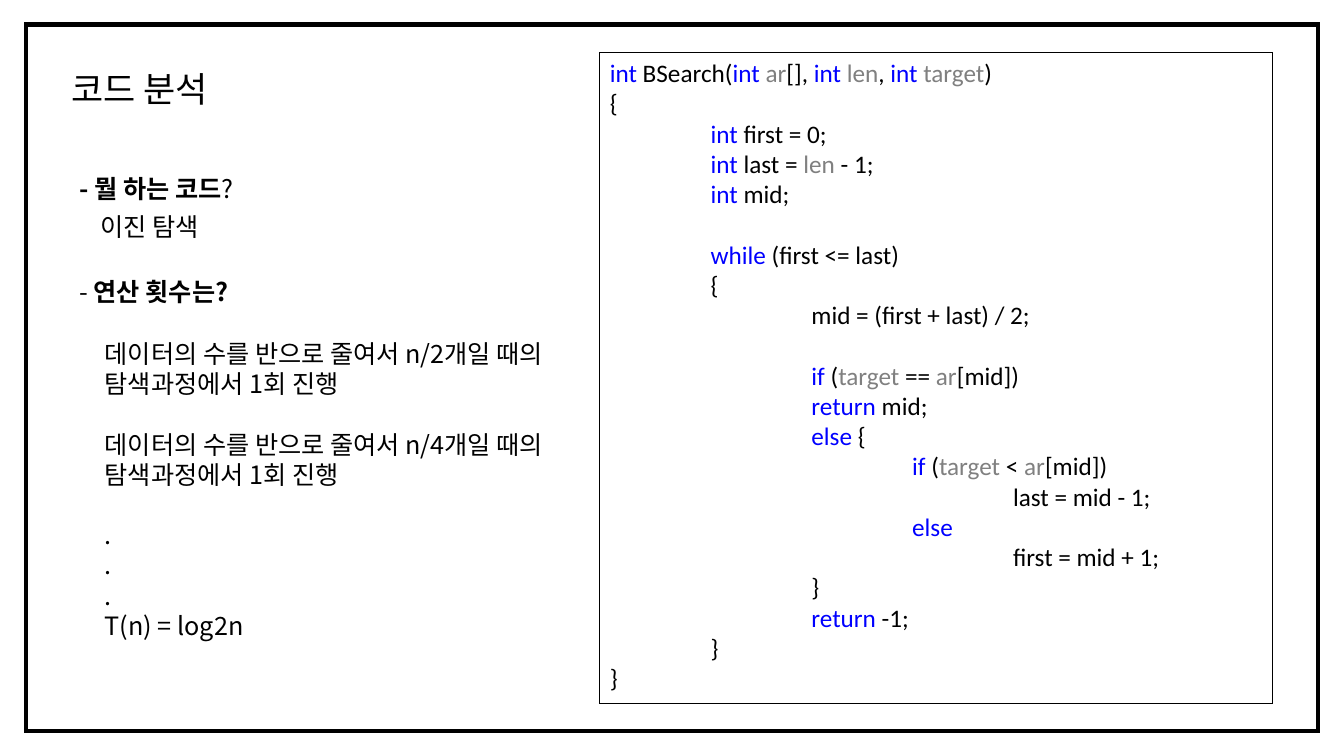
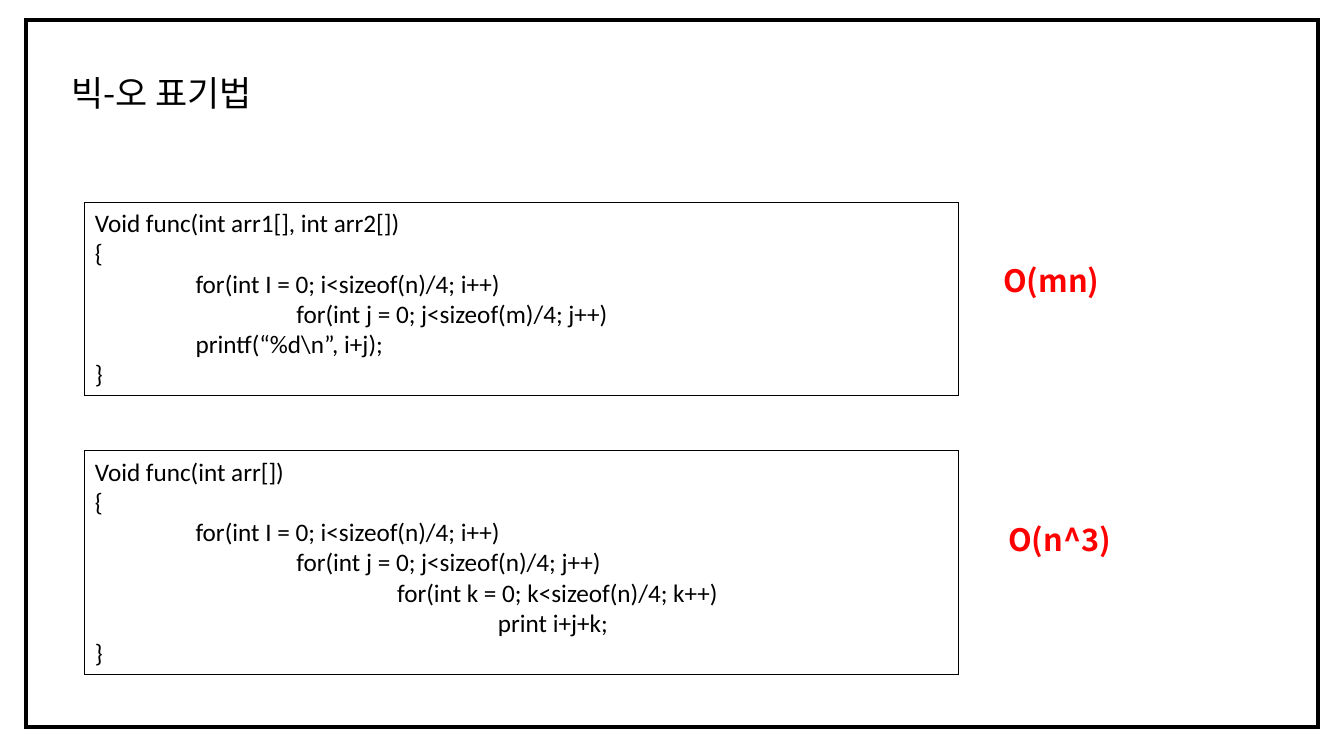
from itertools import groupby

from lxml.etree import SubElement
from pptx import Presentation
from pptx.dml.color import RGBColor
from pptx.enum.shapes import MSO_SHAPE as SHAPE
from pptx.enum.text import MSO_ANCHOR as ANCHOR, MSO_AUTO_SIZE as AUTO, PP_ALIGN as ALIGN
from pptx.oxml.ns import qn
from pptx.util import Cm, Pt

BLACK, WHITE, BLUE, GRAY, RED = "000000", "FFFFFF", "0000FF", "808080", "FF0000"
CODE_FONT, TEXT_FONT = "Calibri", "Noto Sans CJK KR"
BODY_SIZE, TITLE_SIZE, RESULT_SIZE = 18, 25, 22
LEADING = 1.2
TAB = Cm(2.54)

WORD_COLORS = {
    **dict.fromkeys(["int", "while", "if", "else", "return"], BLUE),
    **dict.fromkeys(["ar", "len", "target"], GRAY),
}

BSEARCH = """int BSearch(int ar[], int len, int target)
{
\tint first = 0;
\tint last = len - 1;
\tint mid;

\twhile (first <= last)
\t{
\t\tmid = (first + last) / 2;

\t\tif (target == ar[mid])
\t\treturn mid;
\t\telse {
\t\t\tif (target < ar[mid])
\t\t\t\tlast = mid - 1;
\t\t\telse
\t\t\t\tfirst = mid + 1;
\t\t}
\t\treturn -1;
\t}
}"""

DOUBLE_LOOP = """Void func(int arr1[], int arr2[])
{
\tfor(int I = 0; i<sizeof(n)/4; i++)
\t\tfor(int j = 0; j<sizeof(m)/4; j++)
\tprintf(“%d\\n”, i+j);
}"""

TRIPLE_LOOP = """Void func(int arr[])
{
\tfor(int I = 0; i<sizeof(n)/4; i++)
\t\tfor(int j = 0; j<sizeof(n)/4; j++)
\t\t\tfor(int k = 0; k<sizeof(n)/4; k++)
\t\t\t\tprint i+j+k;
}"""

STEPS = """데이터의 수를 반으로 줄여서 n/2개일 때의 탐색과정에서 1회 진행

데이터의 수를 반으로 줄여서 n/4개일 때의 탐색과정에서 1회 진행

.
.
.
T(n) = log2n"""


def rgb(color):
    """Turn a hex string into a colour."""
    return RGBColor.from_string(color)


def place(sp, box):
    """Move and size a shape; box is left, top, width, height in cm."""
    sp.left, sp.top, sp.width, sp.height = map(Cm, box)


def style_run(r, size, color, font, bold=False):
    """Format one run, including its East Asian font; Korean is not kerned."""
    r.font.size, r.font.bold, r.font.name = Pt(size), bold, font
    r.font.color.rgb = rgb(color)
    rPr = r.font._element
    SubElement(rPr, qn("a:ea"), typeface=font)
    if font == TEXT_FONT:
        rPr.set("kern", "0")


def prepare_frame(tf):
    """Wrap the text and anchor it at the top left."""
    tf.word_wrap, tf.auto_size = True, AUTO.NONE
    tf.vertical_anchor = ANCHOR.TOP
    tf.margin_left = tf.margin_right = Cm(0.25)
    tf.margin_top = tf.margin_bottom = Cm(0.13)


def write(tf, lines, size=BODY_SIZE, font=TEXT_FONT):
    """Write lines of (text, colour, bold) parts; an empty line is a gap."""
    prepare_frame(tf)
    leading = Pt(size * LEADING)
    p, gap = None, 0
    for parts in lines:
        if not parts:
            gap += leading
            continue
        p = tf.paragraphs[0] if p is None else tf.add_paragraph()
        p.alignment, p.line_spacing = ALIGN.LEFT, leading
        p.space_before, p.space_after = gap, 0
        p._p.get_or_add_pPr().set("defTabSz", str(TAB))
        gap = 0
        for text, color, bold in parts:
            r = p.add_run()
            r.text = text
            style_run(r, size, color, font, bold)


def plain(text):
    """Split text into lines of one black part each."""
    return [[(line, BLACK, False)] if line else [] for line in text.split("\n")]


def highlight(text):
    """Split code into lines of parts coloured by word."""
    lines = []
    for line in text.split("\n"):
        words = ["".join(chars) for _, chars in groupby(line, str.isalnum)]
        colored = groupby(words, lambda word: WORD_COLORS.get(word, BLACK))
        lines.append([("".join(group), color, False) for color, group in colored])
    return lines


def add_rect(s, box, line_width, fill=None):
    """Add a rectangle with a black, sharp-cornered outline."""
    sp = s.shapes.add_shape(SHAPE.RECTANGLE, *map(Cm, box))
    sp.shadow.inherit = False
    if fill:
        sp.fill.solid()
        sp.fill.fore_color.rgb = rgb(fill)
    else:
        sp.fill.background()
    sp.line.color.rgb, sp.line.width = rgb(BLACK), Pt(line_width)
    SubElement(sp.line._get_or_add_ln(), qn("a:miter"), lim="800000")
    return sp


def add_slide(prs, layout, title, frame_top, title_top):
    """Add a slide with the heavy frame behind its title."""
    s = prs.slides.add_slide(prs.slide_layouts[layout])
    frame = add_rect(s, (0.66, frame_top, 32.56, 17.81), 3, WHITE)
    s.shapes._spTree.insert(2, frame._element)
    place(s.shapes.title, (1.55, title_top, 13.84, 1.32))
    write(s.shapes.title.text_frame, plain(title), TITLE_SIZE)
    return s


def add_code(s, box, lines):
    """Add a thin box with code."""
    write(add_rect(s, box, 0.75).text_frame, lines, font=CODE_FONT)


def add_label(s, box, parts, size=BODY_SIZE):
    """Add a one-line text box."""
    write(s.shapes.add_textbox(*map(Cm, box)).text_frame, [parts], size)


def fill_body(s, box, text):
    """Place the body placeholder and fill it without bullets."""
    body = s.placeholders[1]
    place(body, box)
    write(body.text_frame, plain(text))
    for p in body.text_frame.paragraphs:
        pPr = p._p.get_or_add_pPr()
        pPr.set("marL", "0")
        pPr.set("indent", "0")
        SubElement(pPr, qn("a:buNone"))


def add_analysis_slide(prs):
    """Build the binary search analysis."""
    s = add_slide(prs, 1, "코드 분석", 0.62, 1.57)
    add_code(s, (15.12, 1.32, 16.94, 16.41), highlight(BSEARCH))
    add_label(s, (1.75, 4.24, 11.46, 1.02),
              [("- 뭘 하는 코드", BLACK, True), ("?", BLACK, False)])
    add_label(s, (2.29, 5.2, 9.8, 1.02), [("이진 탐색", BLACK, False)])
    add_label(s, (1.75, 6.83, 5.46, 1.02),
              [("- ", BLACK, False), ("연산 횟수는?", BLACK, True)])
    fill_body(s, (2.39, 8.39, 11.58, 7.95), STEPS)


def add_big_o_slide(prs):
    """Build the Big-O examples with their results."""
    s = add_slide(prs, 5, "빅-오 표기법", 0.51, 1.68)
    examples = [
        (DOUBLE_LOOP, 5.1, 4.88, "O(mn)", 25.03, 6.47),
        (TRIPLE_LOOP, 11.36, 5.64, "O(n^3)", 25.16, 12.98),
    ]
    for code, top, height, result, result_left, result_top in examples:
        add_code(s, (2.14, top, 22.02, height), plain(code))
        add_label(s, (result_left, result_top, 4.83, 1.19),
                  [(result, RED, True)], RESULT_SIZE)


def main():
    """Build and save the presentation."""
    prs = Presentation()
    prs.slide_width, prs.slide_height = Cm(33.87), Cm(19.05)
    add_analysis_slide(prs)
    add_big_o_slide(prs)
    prs.save("out.pptx")


main()
